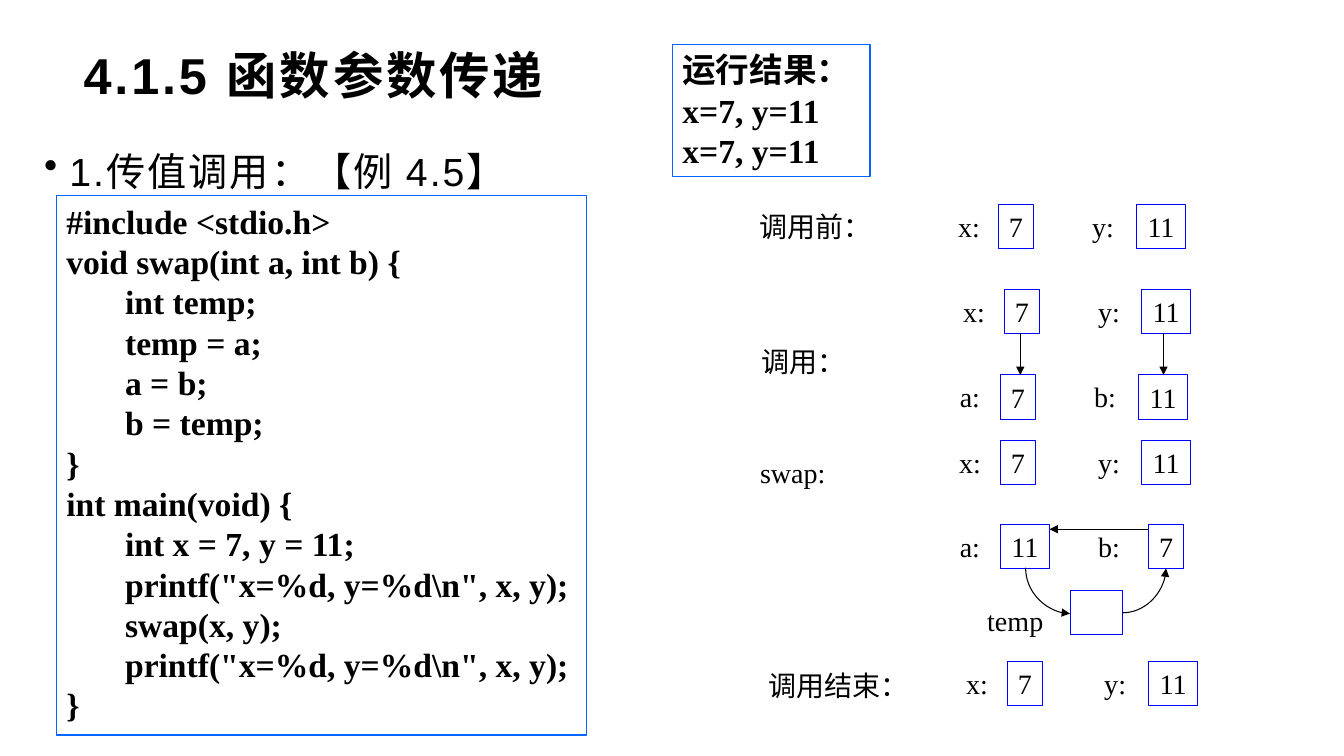
import pptx
import pptx.util
import pptx.dml.color
import pptx.enum.shapes
import pptx.enum.text
import pptx.oxml
from pptx.oxml.ns import qn

PX = 9144  # 100 px to the inch
SERIF = "Times New Roman"
BLACK, FRAME_BLUE, CELL_BLUE = "000000", "0066FF", "0000FF"
LEFT = pptx.enum.text.PP_ALIGN.LEFT
CENTER = pptx.enum.text.PP_ALIGN.CENTER
TOP = pptx.enum.text.MSO_ANCHOR.TOP
MIDDLE = pptx.enum.text.MSO_ANCHOR.MIDDLE
BOTTOM_SITE, LEFT_SITE, RIGHT_SITE = 2, 1, 3

CODE = r'''#include <stdio.h>
void swap(int a, int b) {
       int temp;
       temp = a;
       a = b;
       b = temp;
}
int main(void) {
       int x = 7, y = 11;
       printf("x=%d, y=%d\n", x, y);
       swap(x, y);
       printf("x=%d, y=%d\n", x, y);
}'''
RESULT = "运行结果：\nx=7, y=11\nx=7, y=11"

# top, then (name, name left, value, cell left) for each variable
VARIABLE_ROWS = [
    (203, ("x:", 940, "7", 990), ("y:", 1073, "11", 1127)),
    (287, ("x:", 945, "7", 996), ("y:", 1079, "11", 1132)),
    (372, ("a:", 941, "7", 992), ("b:", 1075, "11", 1129)),
    (437, ("x:", 941, "7", 992), ("y:", 1079, "11", 1132)),
    (520, ("a:", 941, "11", 992), ("b:", 1079, "7", 1139)),
    (656, ("x:", 948, "7", 999), ("y:", 1085, "11", 1139)),
]
STAGES = [
    ("调用前：", 743, 203, 132),
    ("调用：", 745, 337, 106),
    ("swap:", 744, 447, 85),
    ("调用结束：", 752, 658, 159),
]


def px(*lengths):
    return [pptx.util.Emu(n * PX) for n in lengths]


def rgb(color):
    return pptx.dml.color.RGBColor.from_string(color)


def write(tf, text, size, font=SERIF, bold=False, align=LEFT, anchor=TOP,
          wrap=True, spacing=0):
    """Fill a text frame, one paragraph a line; spacing is in points."""
    tf.auto_size = pptx.enum.text.MSO_AUTO_SIZE.NONE
    tf.word_wrap = wrap
    tf.vertical_anchor = anchor
    for i, line in enumerate(text.split("\n")):
        p = tf.add_paragraph() if i else tf.paragraphs[0]
        p.alignment = align
        r = p.add_run()
        r.text = line
        r.font.name = font
        r.font.size = pptx.util.Pt(size)
        r.font.bold = bold
        r.font.color.rgb = rgb(BLACK)
        if spacing:
            r.font._element.set("spc", str(int(spacing * 100)))


def add_label(s, text, x, y, w, h=43, **style):
    sp = s.shapes.add_textbox(*px(x, y, w, h))
    write(sp.text_frame, text, 20, **style)


def add_frame(s, x, y, w, h, color, width):
    sp = s.shapes.add_shape(pptx.enum.shapes.MSO_SHAPE.RECTANGLE, *px(x, y, w, h))
    sp.shadow.inherit = False
    sp.fill.background()
    sp.line.color.rgb = rgb(color)
    sp.line.width = pptx.util.Pt(width)
    return sp


def add_code_frame(s, text, x, y, w, h):
    sp = add_frame(s, x, y, w, h, FRAME_BLUE, 1)
    write(sp.text_frame, text, 24, bold=True)


def add_cell(s, value, x, y):
    sp = add_frame(s, x, y, 49 if len(value) > 1 else 35, 44, CELL_BLUE, 0.75)
    write(sp.text_frame, value, 20, align=CENTER, anchor=MIDDLE, wrap=False)
    return sp


def add_variables(s, y, *variables):
    """Draw a row of named cells and return the cells."""
    cells = []
    for name, name_x, value, cell_x in variables:
        add_label(s, name, name_x, y, 42, align=CENTER, anchor=MIDDLE, wrap=False)
        cells.append(add_cell(s, value, cell_x, y))
    return cells


def add_arrow(s, kind, *ends):
    c = s.shapes.add_connector(kind, *px(*ends))
    c.line.color.rgb = rgb(BLACK)
    c.line.width = pptx.util.Pt(0.75)
    c.line._get_or_add_ln().append(pptx.oxml.parse_xml(
        '<a:tailEnd xmlns:a="http://schemas.openxmlformats.org/drawingml/2006/main"'
        ' type="triangle"/>'))
    c._element.spPr.append(pptx.oxml.parse_xml(
        '<a:effectLst xmlns:a="http://schemas.openxmlformats.org/drawingml/2006/main"/>'))
    return c


def add_curve(s, ends, start, start_site, end, end_site, **turn):
    """Join two cells by a quarter curve; turn holds rotation and flips."""
    c = add_arrow(s, pptx.enum.shapes.MSO_CONNECTOR.CURVE, *ends)
    c.begin_connect(start, start_site)
    c.end_connect(end, end_site)
    sp_pr = c._element.spPr
    sp_pr.find(qn("a:prstGeom")).set("prst", "curvedConnector2")
    for key, value in turn.items():
        sp_pr.find(qn("a:xfrm")).set(key, value)


def add_heading(s):
    title = s.shapes.title
    title.left, title.top, title.width, title.height = px(73, 44, 1187, 60)
    write(title.text_frame, "4.1.5 函数参数传递", 36, "Arial", bold=True,
          anchor=MIDDLE, spacing=2)
    sp = s.shapes.add_textbox(*px(34, 127, 1226, 601))
    p = sp.text_frame.paragraphs[0]
    p_pr = p._p.get_or_add_pPr()
    p_pr.set("marL", str(25 * PX))
    p_pr.set("indent", str(-25 * PX))
    p_pr.append(pptx.oxml.parse_xml(
        '<a:buChar xmlns:a="http://schemas.openxmlformats.org/drawingml/2006/main"'
        ' char="•"/>'))
    p.line_spacing = 1.3
    p.space_after = pptx.util.Pt(10)
    write(sp.text_frame, "1.传值调用：【例 4.5】", 28, "Arial", spacing=1.5)


def main():
    prs = pptx.Presentation()
    prs.slide_width, prs.slide_height = px(1333, 750)
    s = prs.slides.add_slide(prs.slide_layouts[5])
    add_heading(s)
    add_code_frame(s, CODE, 56, 194, 526, 535)
    add_code_frame(s, RESULT, 667, 44, 196, 131)

    for text, x, y, w in STAGES:
        add_label(s, text, x, y, w, wrap=False)
    rows = [add_variables(s, *row) for row in VARIABLE_ROWS]
    a, b = rows[4]
    temp = add_frame(s, 1062, 586, 51, 44, CELL_BLUE, 0.75)
    add_label(s, "temp", 969, 594, 76, align=CENTER, anchor=MIDDLE, wrap=False)

    straight = pptx.enum.shapes.MSO_CONNECTOR.STRAIGHT
    for x in (1012, 1154):
        add_arrow(s, straight, x, 330, x, 372)
    add_arrow(s, straight, 1139, 525, 1041, 525)
    add_curve(s, (1017, 564, 1062, 608), a, BOTTOM_SITE, temp, LEFT_SITE,
              rot="16200000", flipH="1")
    add_curve(s, (1113, 608, 1157, 564), temp, RIGHT_SITE, b, BOTTOM_SITE)
    prs.save("out.pptx")


if __name__ == "__main__":
    main()
